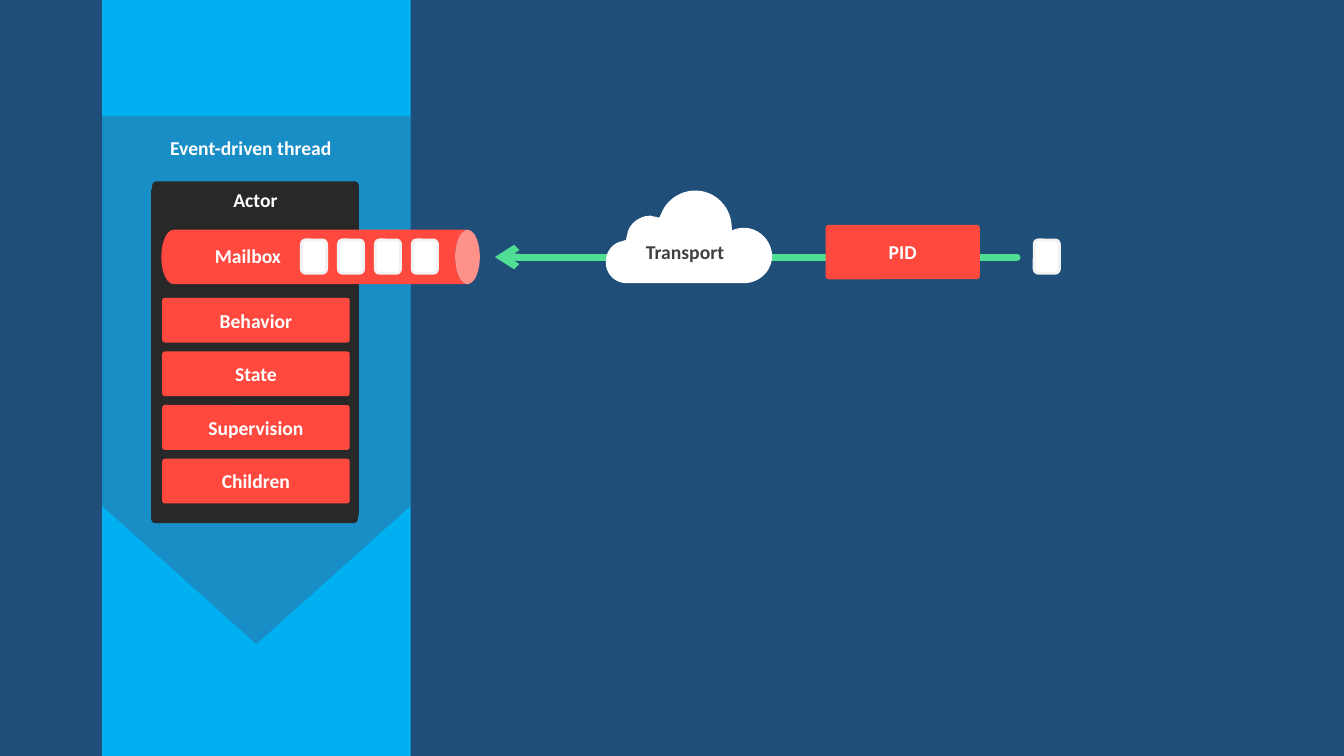
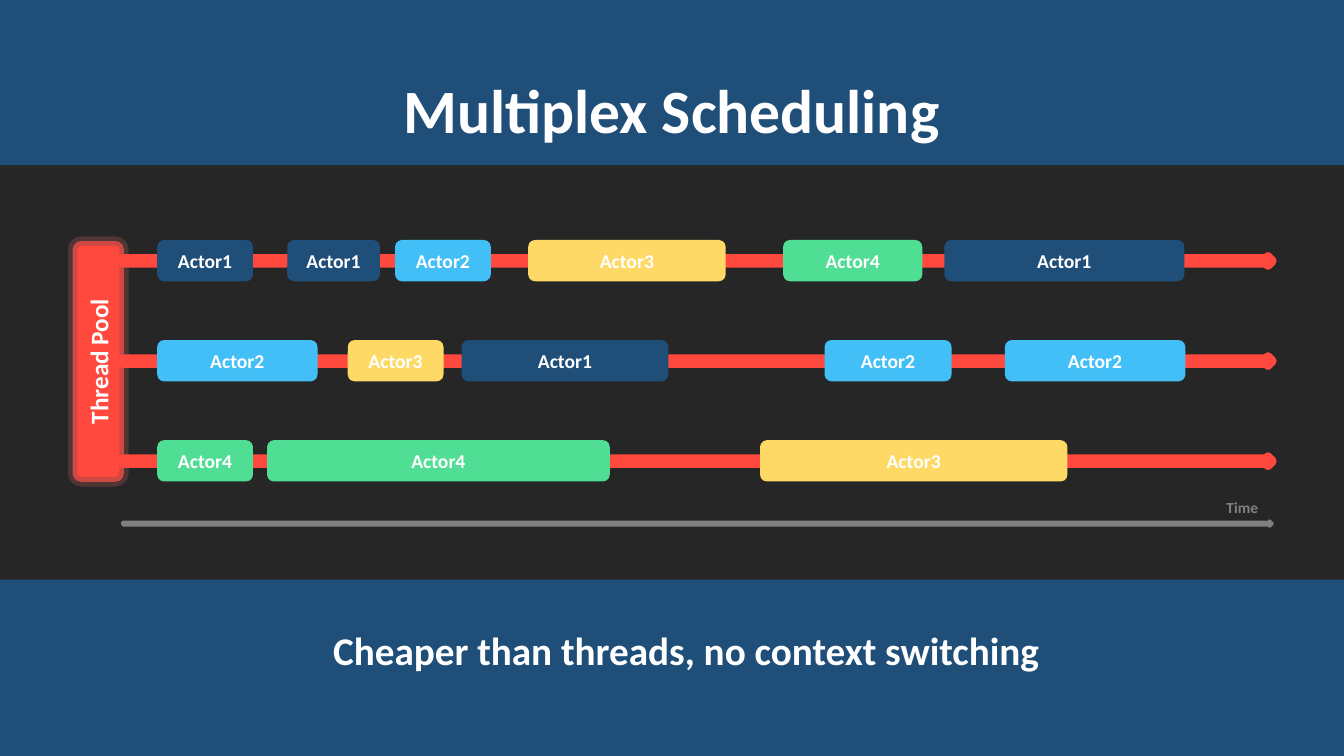
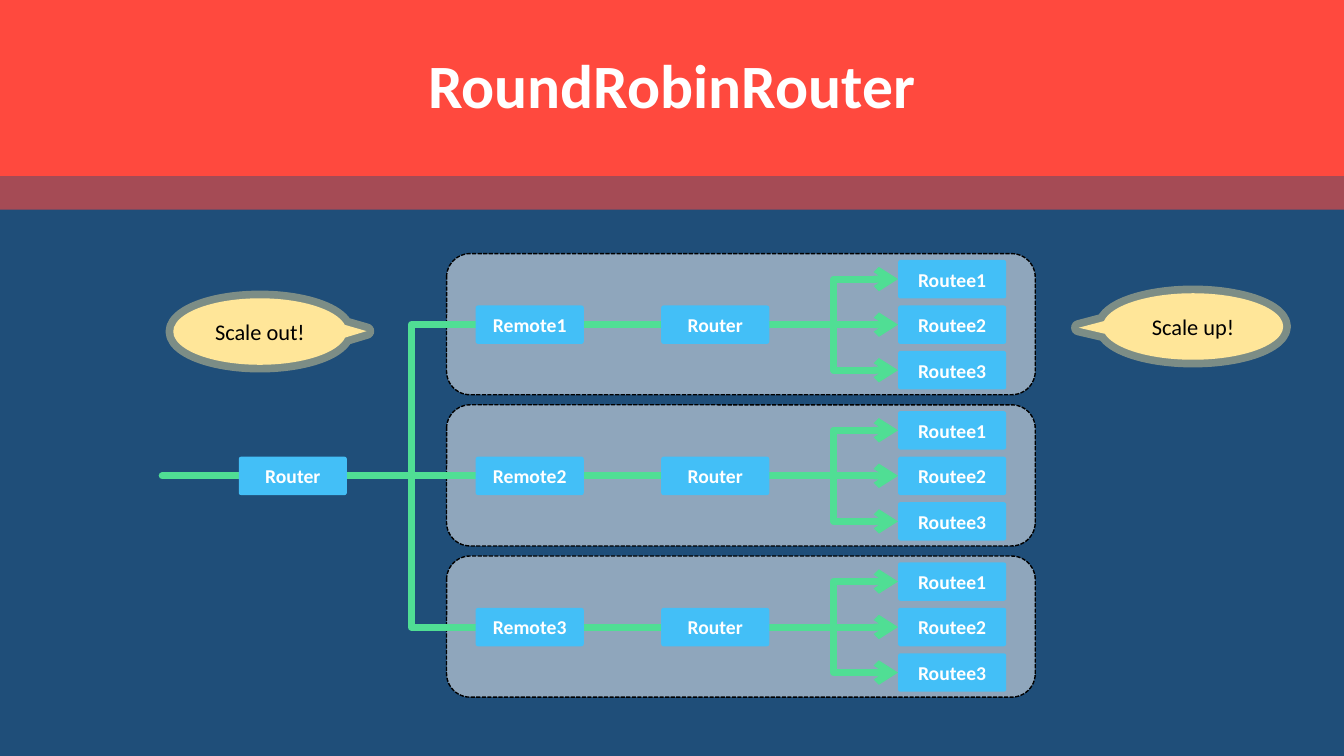
import pptx
import pptx.util
import pptx.dml.color
import pptx.enum.dml
import pptx.enum.shapes
import pptx.enum.text
import pptx.oxml.ns
import lxml.etree

# Shared colours and names
NAVY = pptx.dml.color.RGBColor(0x1F, 0x4E, 0x79)
BLUE = pptx.dml.color.RGBColor(0x00, 0xB0, 0xF0)
SKY = pptx.dml.color.RGBColor(0x43, 0xBF, 0xF7)
SLATE = pptx.dml.color.RGBColor(0x3F, 0x5E, 0x8B)
RED = pptx.dml.color.RGBColor(0xFF, 0x49, 0x3E)
MAROON = pptx.dml.color.RGBColor(0x8C, 0x4A, 0x4A)
GREEN = pptx.dml.color.RGBColor(0x50, 0xDE, 0x94)
YELLOW = pptx.dml.color.RGBColor(0xFF, 0xD9, 0x66)
CREAM = pptx.dml.color.RGBColor(0xFF, 0xE6, 0x99)
CHARCOAL = pptx.dml.color.RGBColor(0x28, 0x28, 0x28)
DARK = pptx.dml.color.RGBColor(0x26, 0x26, 0x26)
DARK_GRAY = pptx.dml.color.RGBColor(0x40, 0x40, 0x40)
GRAY = pptx.dml.color.RGBColor(0x80, 0x80, 0x80)
LIGHT = pptx.dml.color.RGBColor(0xF2, 0xF2, 0xF2)
WHITE = pptx.dml.color.RGBColor(0xFF, 0xFF, 0xFF)
BLACK = pptx.dml.color.RGBColor(0x00, 0x00, 0x00)

FONT = "Calibri"
SHAPE = pptx.enum.shapes.MSO_SHAPE
CONNECTOR = pptx.enum.shapes.MSO_CONNECTOR
ANCHOR = pptx.enum.text.MSO_ANCHOR
ALIGN = pptx.enum.text.PP_ALIGN
LEFT_SIDE, RIGHT_SIDE = 1, 3


def add_box(slide, kind, bounds, fill=None, text="", size=14, color=WHITE, bold=True,
            align=ALIGN.CENTER, anchor=ANCHOR.MIDDLE, adjust=(), fill_alpha=None,
            line=None, line_width=1, line_alpha=None, rotation=0):
    """Add a preset shape, or a text box when kind is None."""
    lengths = [pptx.util.Pt(value) for value in bounds]
    if kind is None:
        shape = slide.shapes.add_textbox(*lengths)
    else:
        shape = slide.shapes.add_shape(kind, *lengths)
        shape.shadow.inherit = False
        for index, value in enumerate(adjust):
            shape.adjustments[index] = value
    shape.rotation = rotation
    if fill is None:
        shape.fill.background()
    else:
        shape.fill.solid()
        shape.fill.fore_color.rgb = fill
    if line is None:
        shape.line.fill.background()
    else:
        shape.line.color.rgb = line
        shape.line.width = pptx.util.Pt(line_width)
    properties = shape._element.spPr
    for parent, alpha in ((properties, fill_alpha), (properties.find(pptx.oxml.ns.qn("a:ln")), line_alpha)):
        if alpha is not None:
            solid = parent.find(pptx.oxml.ns.qn("a:solidFill"))
            lxml.etree.SubElement(solid[0], pptx.oxml.ns.qn("a:alpha"), val=str(alpha * 1000))
    if text:
        frame = shape.text_frame
        frame.word_wrap = True
        frame.vertical_anchor = anchor
        paragraph = frame.paragraphs[0]
        paragraph.alignment = align
        run = paragraph.add_run()
        run.text = text
        run.font.name = FONT
        run.font.size = pptx.util.Pt(size)
        run.font.bold = bold
        run.font.color.rgb = color
    return shape


def add_line(slide, kind, start, end, begin_box=None, end_box=None, arrow=False):
    """Add a green connector, joined to the right side of begin_box and left side of end_box."""
    connector = slide.shapes.add_connector(kind, *[pptx.util.Pt(value) for value in start + end])
    if begin_box is not None:
        connector.begin_connect(begin_box, RIGHT_SIDE)
    if end_box is not None:
        connector.end_connect(end_box, LEFT_SIDE)
    connector.line.color.rgb = GREEN
    connector.line.width = pptx.util.Pt(5)
    outline = connector._element.spPr.find(pptx.oxml.ns.qn("a:ln"))
    outline.set("cap", "rnd")
    lxml.etree.SubElement(outline, pptx.oxml.ns.qn("a:round"))
    if arrow:
        lxml.etree.SubElement(outline, pptx.oxml.ns.qn("a:tailEnd"), type="arrow")
    lxml.etree.SubElement(connector._element.spPr, pptx.oxml.ns.qn("a:effectLst"))


presentation = pptx.Presentation()
presentation.slide_width = pptx.util.Pt(960)
presentation.slide_height = pptx.util.Pt(540)

# Slides, backgrounds, title bands and titles
actor_slide = presentation.slides.add_slide(presentation.slide_layouts[6])
scheduling_slide = presentation.slides.add_slide(presentation.slide_layouts[5])
router_slide = presentation.slides.add_slide(presentation.slide_layouts[5])

for slide, background in ((actor_slide, NAVY), (scheduling_slide, DARK), (router_slide, NAVY)):
    slide.background.fill.solid()
    slide.background.fill.fore_color.rgb = background

for slide, text, title_top, band_color, band_height in (
        (scheduling_slide, "Multiplex Scheduling", 28.8, NAVY, 118),
        (router_slide, "RoundRobinRouter", 10.8, RED, 126)):
    add_box(slide, SHAPE.RECTANGLE, (0, 0, 960, band_height), band_color)
    title = slide.shapes.title
    slide.shapes._spTree.append(title._element)
    title.left, title.top = pptx.util.Pt(66), pptx.util.Pt(title_top)
    title.width, title.height = pptx.util.Pt(828), pptx.util.Pt(104.4)
    title.text_frame.vertical_anchor = ANCHOR.MIDDLE
    paragraph = title.text_frame.paragraphs[0]
    paragraph.alignment = ALIGN.CENTER
    paragraph.line_spacing = 0.9
    run = paragraph.add_run()
    run.text = text
    run.font.name = FONT
    run.font.size = pptx.util.Pt(44)
    run.font.bold = True
    run.font.color.rgb = WHITE

# Slide 1: thread lane
add_box(actor_slide, SHAPE.RECTANGLE, (73, 0, 220.3, 540), BLUE)
add_box(actor_slide, SHAPE.DOWN_ARROW, (73, 82.8, 220.3, 377.3), SLATE, adjust=(1, 0.448), fill_alpha=41)
add_box(actor_slide, None, (114.5, 93.6, 139, 24.5), text="Event-driven thread",
        align=ALIGN.LEFT, anchor=ANCHOR.TOP)

# Message route and process identifier
add_line(actor_slide, CONNECTOR.STRAIGHT, (726.5, 183.6), (353.5, 183.6), arrow=True)
add_box(actor_slide, SHAPE.ROUNDED_RECTANGLE, (589.7, 160.6, 110.2, 38.9), RED, "PID", adjust=(0.062,))

# Actor and its parts
add_box(actor_slide, SHAPE.ROUNDED_RECTANGLE, (108, 133.2, 147.6, 240.5), CHARCOAL, adjust=(0.02,))
add_box(actor_slide, SHAPE.ROUNDED_RECTANGLE, (108.7, 129.6, 147.6, 240.5), CHARCOAL, "Actor",
        anchor=ANCHOR.TOP, adjust=(0.02,))
for index, part in enumerate(("Behavior", "State", "Supervision", "Children")):
    add_box(actor_slide, SHAPE.ROUNDED_RECTANGLE, (115.9, 212.7 + 38.3 * index, 133.9, 32), RED, part,
            adjust=(0.062,))

# Mailbox with queued messages, and one message on its way
add_box(actor_slide, SHAPE.CAN, (209.5, 69.8, 38.9, 227.5), RED, adjust=(0.453,), rotation=90)
add_box(actor_slide, None, (131, 174.2, 92.2, 17.3), text="Mailbox")
for left in [215.3 + 26.4 * index for index in range(4)] + [738.7]:
    add_box(actor_slide, SHAPE.ROUNDED_RECTANGLE, (left, 171.4, 18, 23.8), WHITE, line=LIGHT, line_width=2)

# Transport cloud: corner points, or cubic curves with two handles and an end point
cloud_start = (496.8, 136.1)
cloud_segments = (
    (511.2, 136.1, 522.7, 148.3, 522.7, 162.7),
    (522.7, 164.9),
    (523.4, 164.2),
    (526.3, 163.4, 528.5, 162.7, 531.4, 162.7),
    (542.2, 162.7, 551.5, 172.1, 551.5, 182.9),
    (551.5, 193.7, 542.2, 202.3, 531.4, 202.3),
    (447.8, 202.3),
    (439.2, 202.3, 432.7, 195.8, 432.7, 187.2),
    (432.7, 179.3, 437.8, 173.5, 445, 172.1),
    (447.1, 171.4),
    (448.6, 164.9),
    (450.7, 159.1, 457.2, 154.1, 464.4, 154.1),
    (465.8, 154.1, 466.6, 154.8, 468, 154.8),
    (470.9, 155.5),
    (472.3, 152.6),
    (475.9, 143.3, 485.3, 136.1, 496.8, 136.1),
)
CURVE_STEPS = 12
outline_points = [cloud_start]
for segment in cloud_segments:
    if len(segment) == 2:
        outline_points.append(segment)
        continue
    x0, y0 = outline_points[-1]
    x1, y1, x2, y2, x3, y3 = segment
    for step in range(1, CURVE_STEPS + 1):
        t = step / CURVE_STEPS
        a, b, c, d = (1 - t) ** 3, 3 * t * (1 - t) ** 2, 3 * t * t * (1 - t), t ** 3
        outline_points.append((a * x0 + b * x1 + c * x2 + d * x3, a * y0 + b * y1 + c * y2 + d * y3))
cloud_points = [(pptx.util.Pt(x), pptx.util.Pt(y)) for x, y in outline_points]
builder = actor_slide.shapes.build_freeform(*cloud_points[0])
builder.add_line_segments(cloud_points[1:], close=True)
cloud = builder.convert_to_shape()
cloud.shadow.inherit = False
cloud.fill.solid()
cloud.fill.fore_color.rgb = WHITE
cloud.line.fill.background()
add_box(actor_slide, None, (454.3, 167.8, 75.6, 24.5), text="Transport", color=DARK_GRAY,
        align=ALIGN.LEFT, anchor=ANCHOR.TOP)

# Slide 2: bottom band and thread pool
add_box(scheduling_slide, SHAPE.RECTANGLE, (0, 414, 960, 126), NAVY)
add_box(scheduling_slide, None, (10, 444.2, 960, 41), text="Cheaper than threads, no context switching",
        size=28, anchor=ANCHOR.TOP)
add_box(scheduling_slide, SHAPE.ROUNDED_RECTANGLE, (-15.8, 239.8, 172, 36.7), RED, "Thread Pool", size=18,
        line=MAROON, line_width=6.75, line_alpha=41, rotation=270)

# Threads, each with its runs of actors: number, left, width
actor_colors = {1: NAVY, 2: SKY, 3: YELLOW, 4: GREEN}
threads = (
    ((1, 112.3, 68.4), (1, 205.2, 66.2), (2, 282.2, 68.4), (3, 377.3, 141.1), (4, 559.4, 99.4),
     (1, 674.6, 171.4)),
    ((2, 112.3, 114.5), (3, 248.4, 68.4), (1, 329.8, 147.6), (2, 589, 90.7), (2, 717.8, 128.9)),
    ((4, 112.3, 68.4), (4, 190.8, 244.8), (3, 542.9, 219.6)),
)
for index, actors in enumerate(threads):
    offset = 71.5 * index
    add_box(scheduling_slide, SHAPE.RIGHT_ARROW, (87.8, 183.5 + offset, 820.8, 5.8), RED,
            line=RED, line_width=6.75)
    for number, left, width in actors:
        add_box(scheduling_slide, SHAPE.ROUNDED_RECTANGLE, (left, 171.4 + offset, width, 29.5),
                actor_colors[number], f"Actor{number}")

# Time axis
add_box(scheduling_slide, SHAPE.RIGHT_ARROW, (87.8, 372.2, 820.8, 3.6), line=GRAY, line_width=2.5)
add_box(scheduling_slide, None, (869, 352.1, 39.6, 20.9), text="Time", size=11, color=GRAY,
        align=ALIGN.LEFT, anchor=ANCHOR.TOP)

# Slide 3: strip under the title and callouts
add_box(router_slide, SHAPE.RECTANGLE, (0, 126, 960, 23.8), RED, fill_alpha=60)
for text, bounds, pointer in (
        ("Scale out!", (123.8, 213.1, 123.8, 47.5), (0.615, -0.006)),
        ("Scale up!", (787.7, 209.5, 128.9, 47.5), (-0.633, 0.018))):
    add_box(router_slide, SHAPE.OVAL_CALLOUT, bounds, CREAM, text, size=16, color=BLACK, bold=False,
            adjust=pointer, line=CREAM, line_width=11, line_alpha=42)

# Remote machines and root router
NODE_WIDTH, NODE_HEIGHT = 77.2, 27.4
ROW_TOP, ROW_PITCH, ROUTEE_PITCH = 218.2, 108, 32.5
for row in range(3):
    panel = add_box(router_slide, SHAPE.ROUNDED_RECTANGLE, (319, 181.2 + ROW_PITCH * row, 420.5, 100.8), WHITE,
                    fill_alpha=50, line=BLACK)
    panel.line.dash_style = pptx.enum.dml.MSO_LINE.SQUARE_DOT

root_top = ROW_TOP + ROW_PITCH
root = add_box(router_slide, SHAPE.ROUNDED_RECTANGLE, (170.6, root_top, NODE_WIDTH, NODE_HEIGHT), SKY, "Router",
               adjust=(0.062,))
root_middle = root_top + NODE_HEIGHT / 2
add_line(router_slide, CONNECTOR.STRAIGHT, (115.9, root_middle), (170.6, root_middle), end_box=root)

# Each row: remote, router and three routees
front_nodes = [root]
for row in range(3):
    top = ROW_TOP + ROW_PITCH * row
    nodes = []
    for text, left, node_top in (
            (f"Remote{row + 1}", 339.8, top),
            ("Router", 472.3, top),
            ("Routee1", 641.5, top - ROUTEE_PITCH),
            ("Routee2", 641.5, top),
            ("Routee3", 641.5, top + ROUTEE_PITCH)):
        nodes.append(add_box(router_slide, SHAPE.ROUNDED_RECTANGLE, (left, node_top, NODE_WIDTH, NODE_HEIGHT),
                             SKY, text, adjust=(0.062,)))
    remote, router, *routees = nodes
    front_nodes += [remote, router]
    links = [(root, remote, False), (remote, router, False)]
    links += [(router, routee, True) for routee in routees]
    for source, target, arrow in links:
        kind = CONNECTOR.STRAIGHT if source.top == target.top else CONNECTOR.ELBOW
        add_line(router_slide, kind, (0, 0), (0, 0), source, target, arrow)

# Nodes cover the rounded line ends
for node in front_nodes:
    router_slide.shapes._spTree.append(node._element)

presentation.save("out.pptx")
